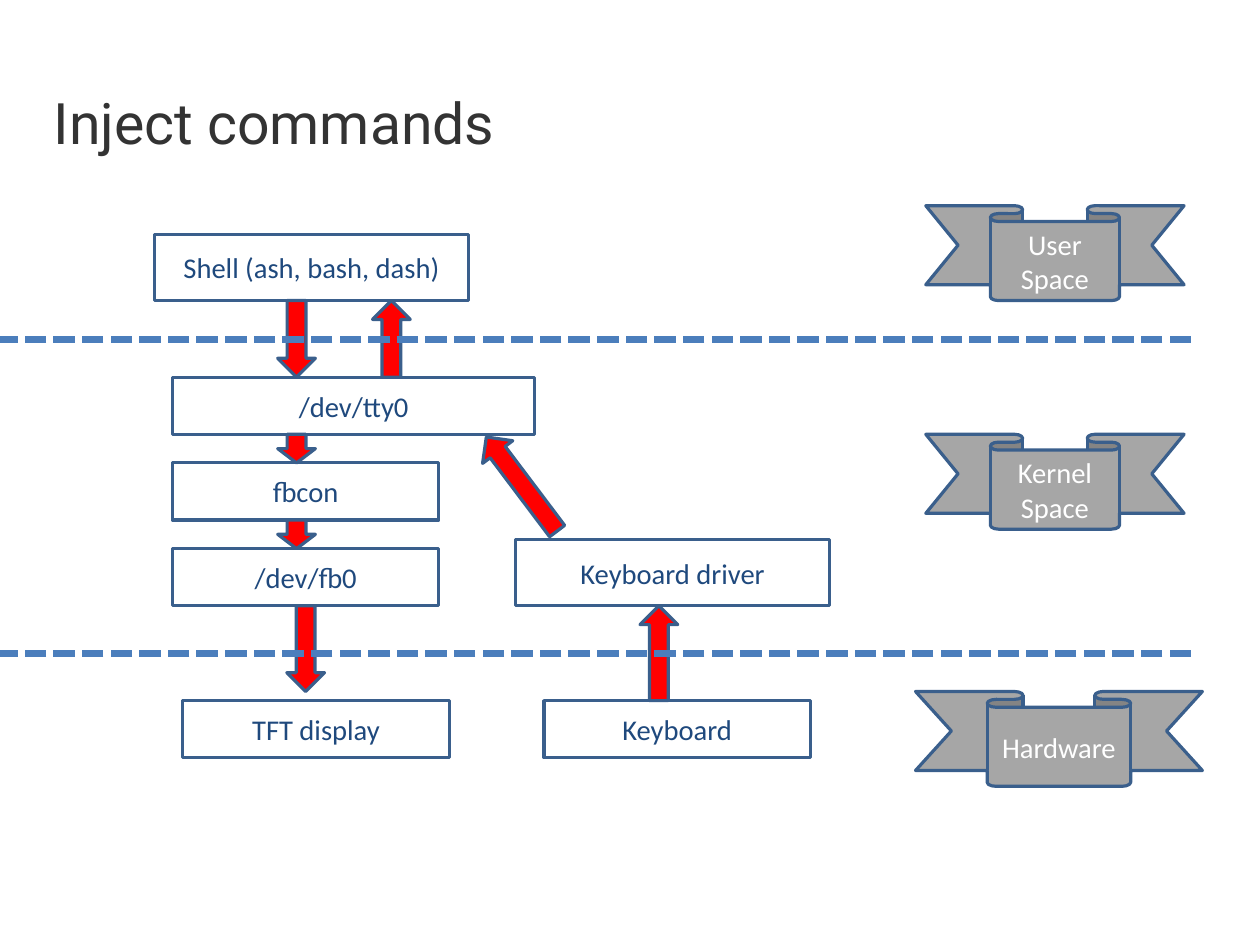
from dataclasses import dataclass
from typing import NamedTuple

from lxml import etree
from pptx import Presentation
from pptx import util as u
from pptx.dml.color import RGBColor
from pptx.enum import dml, shapes, text
from pptx.oxml.ns import qn


@dataclass(frozen=True)
class Theme:
    title: RGBColor = RGBColor(0x33, 0x33, 0x33)
    outline: RGBColor = RGBColor(0x3A, 0x5F, 0x8C)
    label: RGBColor = RGBColor(0x1F, 0x49, 0x7D)
    boundary: RGBColor = RGBColor(0x4B, 0x7E, 0xBC)
    flow: RGBColor = RGBColor(0xFF, 0, 0)
    ribbon: RGBColor = RGBColor(0xA6, 0xA6, 0xA6)
    ribbon_label: RGBColor = RGBColor(0xFF, 0xFF, 0xFF)
    title_font: str = "Roboto"
    body_font: str = "Calibri"
    title_size: u.Pt = u.Pt(36)
    body_size: u.Pt = u.Pt(18)
    outline_width: u.Pt = u.Pt(2)
    boundary_width: u.Pt = u.Pt(4.5)


class Box(NamedTuple):
    left: float
    top: float
    width: float
    height: float

    def inside(self, parent):
        return Box(parent.left + self.left, parent.top + self.top, self.width, self.height)

    def emu(self):
        return [u.Inches(v) for v in self]


THEME = Theme()
KIND = shapes.MSO_SHAPE
UP, DOWN = KIND.UP_ARROW, KIND.DOWN_ARROW
ARROW_WIDTH = 0.33
CM_PER_INCH = 2.54


def set_text(sp, wording, font, size, color, align):
    tf = sp.text_frame
    tf.word_wrap = True
    tf.vertical_anchor = text.MSO_ANCHOR.MIDDLE
    p = tf.paragraphs[0]
    p.text = wording
    p.alignment = align
    p.font.name, p.font.size = font, size
    p.font.color.rgb = color


def add_outlined(s, kind, box, fill=None, label="", color=THEME.label):
    sp = s.shapes.add_shape(kind, *box.emu())
    sp.shadow.inherit = False
    if fill is None:
        sp.fill.background()
    else:
        sp.fill.solid()
        sp.fill.fore_color.rgb = fill
    sp.line.color.rgb = THEME.outline
    sp.line.width = THEME.outline_width
    if label:
        set_text(sp, label, THEME.body_font, THEME.body_size, color, text.PP_ALIGN.CENTER)
    return sp


def add_title(s, box, wording):
    sp = s.shapes.add_textbox(*box.emu())
    set_text(sp, wording, THEME.title_font, THEME.title_size, THEME.title, text.PP_ALIGN.LEFT)
    tf = sp.text_frame
    tf.margin_left = tf.margin_right = tf.margin_top = tf.margin_bottom = 0


def add_boundary(s, box):
    y = u.Inches(box.top + box.height)
    line = s.shapes.add_connector(
        shapes.MSO_CONNECTOR.STRAIGHT, u.Inches(box.left + box.width), y, u.Inches(box.left), y)
    line.line.color.rgb = THEME.boundary
    line.line.width = THEME.boundary_width
    line.line.dash_style = dml.MSO_LINE.SQUARE_DOT
    etree.SubElement(line._element.spPr, qn("a:effectLst"))


def add_layer(s, box, name, ribbon, blocks, bounded=True):
    for label, block in blocks:
        add_outlined(s, KIND.RECTANGLE, block.inside(box), label=label)
    add_outlined(s, KIND.DOWN_RIBBON, ribbon.inside(box), THEME.ribbon, name, THEME.ribbon_label)
    if bounded:
        add_boundary(s, box)


def add_flows(s, box, flows):
    for kind, left, top, height, rotation in flows:
        arrow = Box(left, top, ARROW_WIDTH, height).inside(box)
        add_outlined(s, kind, arrow, THEME.flow).rotation = rotation


def main():
    prs = Presentation()
    prs.slide_width = u.Inches(28 / CM_PER_INCH)
    prs.slide_height = u.Inches(21 / CM_PER_INCH)
    s = prs.slides.add_slide(prs.slide_layouts[6])

    diagram = Box(0, 1.8, 10.42, 5.08)
    user = Box(0, 0, 10.42, 1.17).inside(diagram)
    kernel = Box(0, 1.17, 10.42, 2.75).inside(diagram)
    hardware = Box(0, 3.92, 10.42, 1.16).inside(diagram)

    add_flows(s, diagram, [
        (UP, 5.6, 3.5, 0.83, 0),
        (UP, 3.26, 0.83, 0.67, 0),
        (UP, 4.4, 1.92, 1.03, -37),
        (DOWN, 2.43, 0.83, 0.67, 0),
        (DOWN, 2.51, 3.5, 0.75, 0),
    ])
    add_title(s, Box(0.47, 0.71, 9.21, 0.71), "Inject commands")
    add_layer(s, user, "User Space", Box(8.1, 0, 2.26, 0.83), [
        ("Shell (ash, bash, dash)", Box(1.35, 0.25, 2.75, 0.58)),
    ])
    stack = [("/dev/tty0", 3.17), ("fbcon", 2.33), ("/dev/fb0", 2.33)]
    add_layer(s, kernel, "Kernel Space", Box(8.1, 0.83, 2.26, 0.83), [
        *((label, Box(1.51, 0.33 + 0.75 * i, width, 0.5))
          for i, (label, width) in enumerate(stack)),
        ("Keyboard driver", Box(4.51, 1.75, 2.75, 0.58)),
    ])
    add_layer(s, hardware, "Hardware", Box(8.01, 0.33, 2.51, 0.83), [
        ("TFT display", Box(1.6, 0.41, 2.33, 0.5)),
        ("Keyboard", Box(4.76, 0.41, 2.33, 0.5)),
    ], bounded=False)
    add_flows(s, kernel, [(DOWN, 2.43, 0.83 + 0.75 * i, 0.25, 0) for i in range(2)])

    prs.save("out.pptx")


main()
